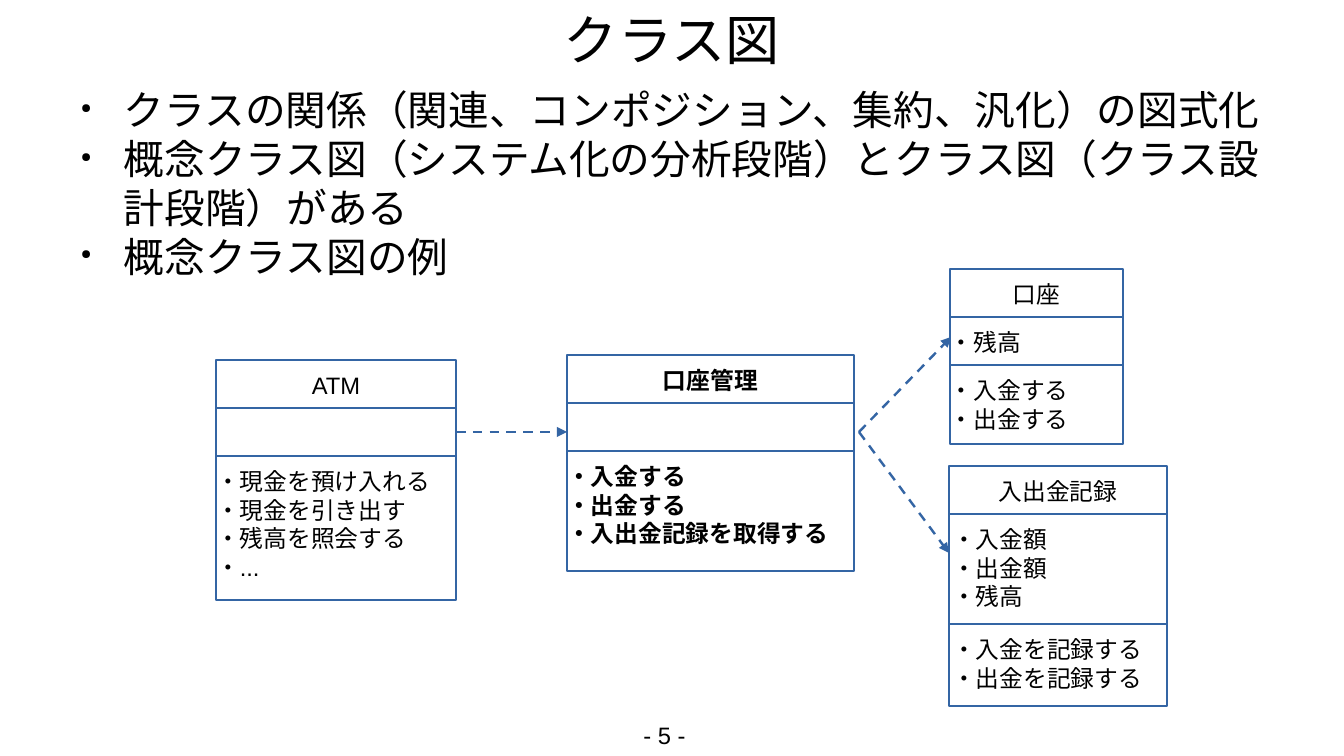
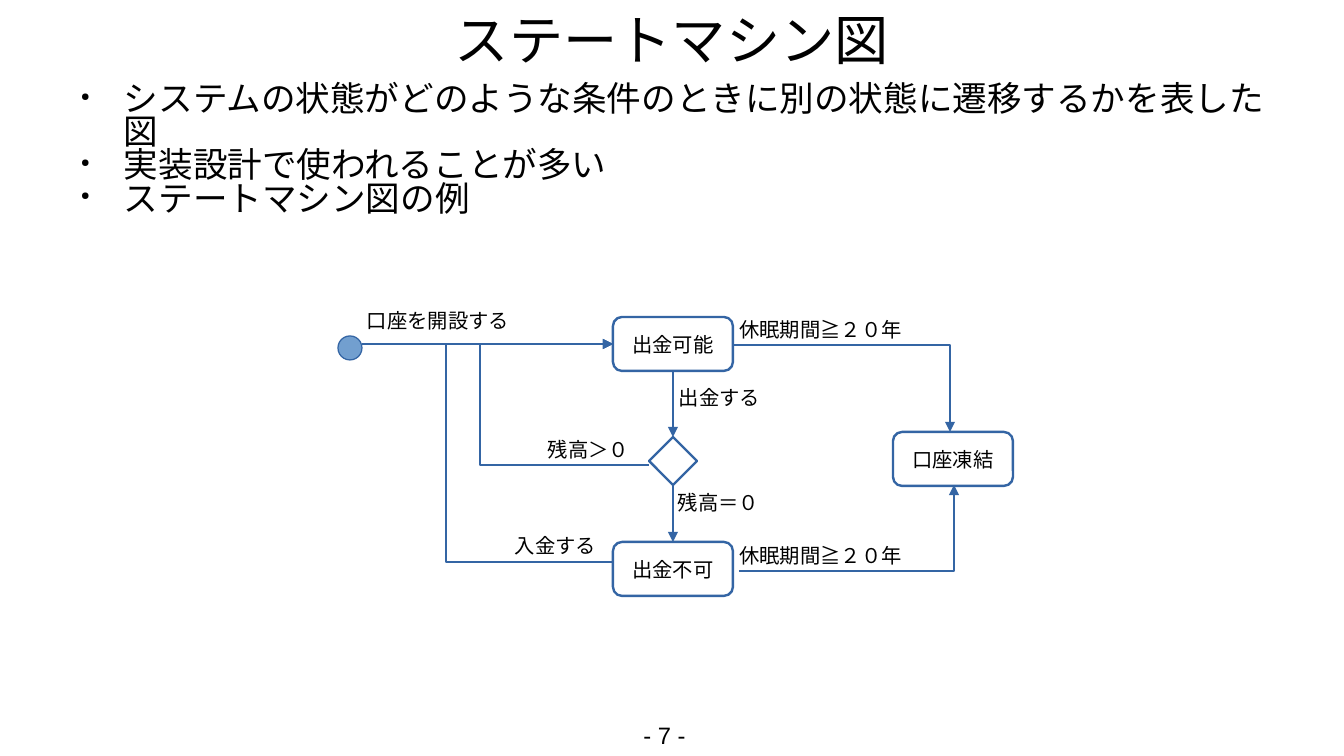
from lxml.etree import SubElement
from pptx import Presentation
from pptx.dml.color import RGBColor
from pptx.enum.dml import MSO_LINE
from pptx.enum.lang import MSO_LANGUAGE_ID
from pptx.enum.shapes import MSO_CONNECTOR, MSO_SHAPE
from pptx.enum.text import MSO_ANCHOR, PP_ALIGN
from pptx.oxml.ns import qn
from pptx.util import Pt

PX = 7495  # EMU per px, 122 px to the inch
FONT = "Arial"
COLORS = {"text": "000000", "line": "3465A4", "start": "729FCF"}
LINE_WIDTH = 1.42
INSET = (12, 6, 12, 6)
FLUSH = (0, 0, 0, 0)


def color(name):
    return RGBColor.from_string(COLORS[name])


def emu(*lengths):
    return [n * PX for n in lengths]


# Text
def add_bullet(p):
    pPr = p._p.get_or_add_pPr()
    pPr.set("marL", str(57 * PX))
    pPr.set("indent", str(-43 * PX))
    clr = SubElement(pPr, qn("a:buClr"))
    SubElement(clr, qn("a:srgbClr")).set("val", COLORS["text"])
    SubElement(pPr, qn("a:buSzPct")).set("val", "33000")
    SubElement(pPr, qn("a:buChar")).set("char", "●")


def put_text(sp, lines, size=14, bold=False, align=PP_ALIGN.CENTER,
             anchor=MSO_ANCHOR.TOP, inset=INSET, wrap=True, bullet=False,
             spacing=None):
    tf = sp.text_frame
    tf.word_wrap = wrap
    tf.vertical_anchor = anchor
    tf.margin_left, tf.margin_top, tf.margin_right, tf.margin_bottom = emu(*inset)
    for i, line in enumerate(lines):
        p = tf.paragraphs[0] if i == 0 else tf.add_paragraph()
        p.alignment = align
        if bullet:
            add_bullet(p)
        if spacing:
            p.line_spacing = spacing
        r = p.add_run()
        r.text = line
        r.font.size = Pt(size)
        r.font.bold = bold
        r.font.name = FONT
        r.font.language_id = MSO_LANGUAGE_ID.JAPANESE
        r.font.color.rgb = color("text")
        SubElement(r._r.get_or_add_rPr(), qn("a:ea")).set("typeface", FONT)


def add_text(slide, box, lines, **fmt):
    sp = slide.shapes.add_textbox(*emu(*box))
    put_text(sp, lines, **fmt)
    return sp


# Shapes and arrows
def style_line(sp, arrow=False, width=LINE_WIDTH):
    sp.line.color.rgb = color("line")
    sp.line.width = Pt(width)
    if arrow:
        SubElement(sp.line._get_or_add_ln(), qn("a:tailEnd")).set("type", "triangle")


def add_outline(slide, kind, box):
    sp = slide.shapes.add_shape(kind, *emu(*box))
    sp.shadow.inherit = False
    sp.fill.background()
    style_line(sp)
    return sp


def add_arrow(slide, start, end, dash=False):
    """Each end is a point (x, y) or a joint (shape, site)."""
    cx = slide.shapes.add_connector(MSO_CONNECTOR.STRAIGHT, 0, 0, 0, 0)
    if isinstance(start[0], int):
        cx.begin_x, cx.begin_y = emu(*start)
    else:
        cx.begin_connect(*start)
    if isinstance(end[0], int):
        cx.end_x, cx.end_y = emu(*end)
    else:
        cx.end_connect(*end)
    SubElement(cx._element.spPr, qn("a:effectLst"))
    if dash:
        cx.line.dash_style = MSO_LINE.DASH
    style_line(cx, arrow=True)


def add_bent_arrow(slide, *points):
    fb = slide.shapes.build_freeform(*points[0], scale=PX)
    fb.add_line_segments(points[1:], close=False)
    sp = fb.convert_to_shape()
    sp.shadow.inherit = False
    sp.fill.background()
    style_line(sp, arrow=True)


# Parts shared by the slides
def add_page(prs, title, bullets, number, size, height, spacing=None):
    slide = prs.slides.add_slide(prs.slide_layouts[6])
    add_text(slide, (67, 3, 1210, 71), [title], size=32, inset=FLUSH,
             anchor=MSO_ANCHOR.MIDDLE)
    add_text(slide, (67, 85, 1210, height), bullets, size=size, inset=FLUSH,
             align=PP_ALIGN.LEFT, bullet=True, spacing=spacing)
    add_text(slide, (601, 715, 127, 43), [f"- {number} -"])
    return slide


def add_class(slide, x, y, width, name, attributes, operations, heights,
              bold=False, left=0):
    """Stack name, attributes and operations; return the three boxes."""
    rows = []
    parts = ([name], attributes, operations)
    for i, (lines, height) in enumerate(zip(parts, heights)):
        sp = add_outline(slide, MSO_SHAPE.RECTANGLE, (x, y, width, height))
        if i == 0:
            put_text(sp, lines, bold=bold, inset=(0, 11, 0, 0))
        else:
            put_text(sp, [f"・{line}" for line in lines], bold=bold,
                     align=PP_ALIGN.LEFT, inset=(left, 11, 0, 0))
        rows.append(sp)
        y += height
    return rows


def add_state(slide, x, y, name):
    sp = add_outline(slide, MSO_SHAPE.ROUNDED_RECTANGLE, (x, y, 120, 54))
    put_text(sp, [name], size=12, inset=FLUSH, anchor=MSO_ANCHOR.MIDDLE)
    return sp


# Slide: class diagram
def class_slide(prs):
    slide = add_page(prs, "クラス図", [
        "クラスの関係（関連、コンポジション、集約、汎化）の図式化",
        "概念クラス図（システム化の分析段階）とクラス図（クラス設計段階）がある",
        "概念クラス図の例",
    ], 5, size=24, height=227)
    atm = add_class(slide, 216, 360, 240, "ATM", [],
                    ["現金を預け入れる", "現金を引き出す", "残高を照会する", "..."],
                    (48, 48, 144))
    add_class(slide, 950, 269, 173, "口座", ["残高"], ["入金する", "出金する"],
              (48, 48, 79))
    add_class(slide, 949, 466, 218, "入出金記録", ["入金額", "出金額", "残高"],
              ["入金を記録する", "出金を記録する"], (48, 110, 82), left=3)
    add_class(slide, 567, 355, 287, "口座管理", [],
              ["入金する", "出金する", "入出金記録を取得する"], (48, 48, 120),
              bold=True)
    add_arrow(slide, (atm[1], 3), (567, 432), dash=True)
    for end in ((951, 337), (949, 553)):
        add_arrow(slide, (859, 432), end, dash=True)


# Slide: state machine diagram
def state_slide(prs):
    slide = add_page(prs, "ステートマシン図", [
        "システムの状態がどのような条件のときに別の状態に遷移するかを表した図",
        "実装設計で使われることが多い",
        "ステートマシン図の例",
    ], 7, size=20.4, height=131, spacing=0.8)

    start = add_outline(slide, MSO_SHAPE.OVAL, (338, 336, 24, 24))
    start.fill.solid()
    start.fill.fore_color.rgb = color("start")
    style_line(start, width=0)
    payable = add_state(slide, 613, 317, "出金可能")
    blocked = add_state(slide, 613, 542, "出金不可")
    add_state(slide, 893, 432, "口座凍結")
    check = add_outline(slide, MSO_SHAPE.DIAMOND, (649, 437, 48, 48))

    # Transitions
    add_arrow(slide, (362, 344), (payable, 1))
    add_arrow(slide, (payable, 2), (check, 0))
    add_arrow(slide, (check, 2), (blocked, 0))
    for x, y, turn in ((649, 465, 480), (613, 562, 446)):
        add_bent_arrow(slide, (x, y), (turn, y), (turn, 344), (613, 344))
    add_bent_arrow(slide, (734, 345), (950, 345), (950, 432))
    add_bent_arrow(slide, (739, 571), (954, 571), (954, 485))

    # Conditions: no side insets, so each label keeps to one line
    for x, y, width, label in (
        (355, 302, 166, "口座を開設する"),
        (667, 379, 105, "出金する"),
        (536, 431, 105, "残高＞０"),
        (666, 484, 105, "残高＝０"),
        (503, 527, 105, "入金する"),
        (727, 311, 187, "休眠期間≧２０年"),
        (727, 537, 187, "休眠期間≧２０年"),
    ):
        add_text(slide, (x, y, width, 39), [label], size=12,
                 inset=(0, 6, 0, 6))


def main():
    prs = Presentation()
    prs.slide_width, prs.slide_height = emu(1344, 756)
    class_slide(prs)
    state_slide(prs)
    prs.save("out.pptx")


if __name__ == "__main__":
    main()
